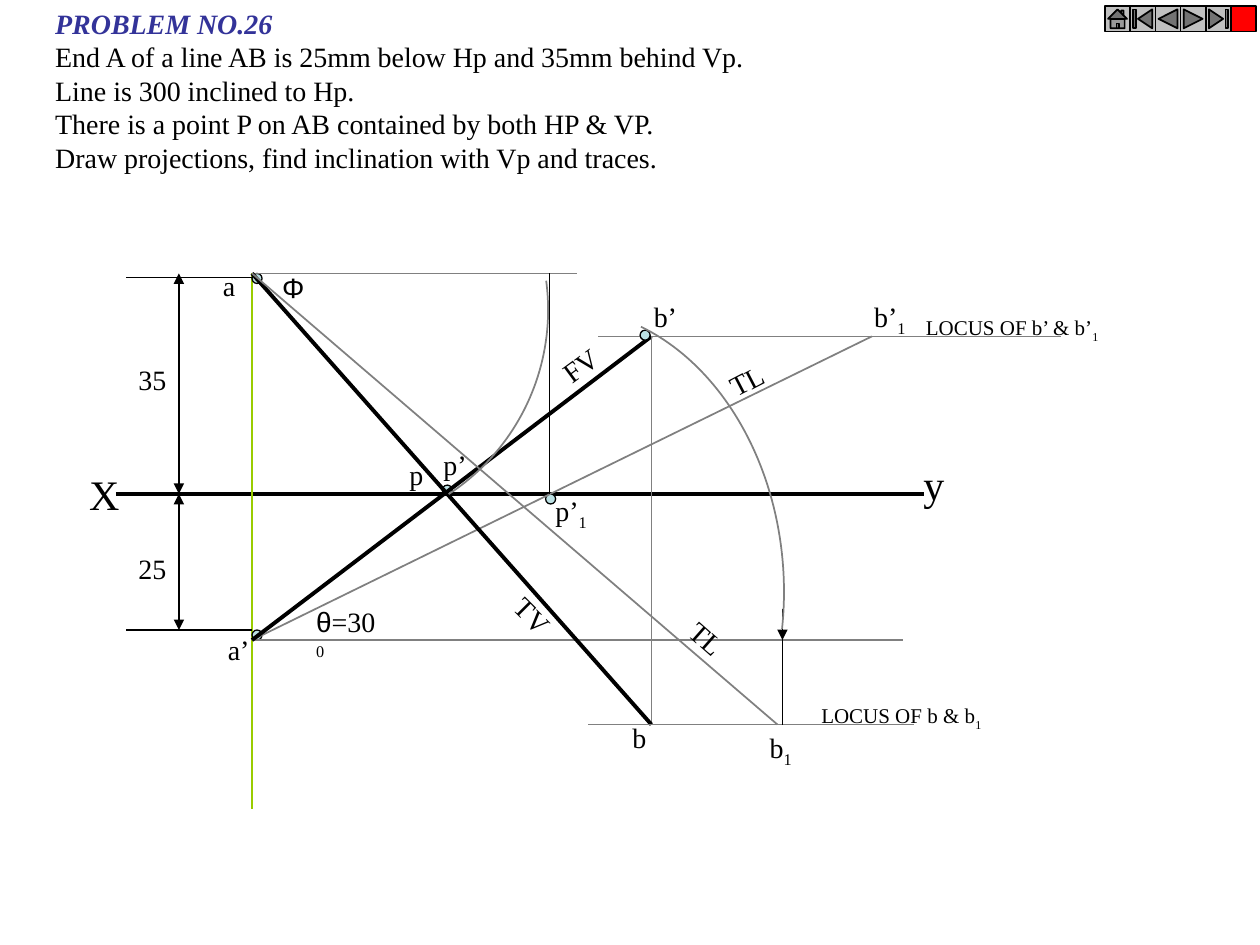
import pptx
import pptx.util
import pptx.dml.color
import pptx.enum.shapes
import pptx.enum.text
import pptx.oxml.ns
from lxml import etree

Inches = pptx.util.Inches
SHAPE = pptx.enum.shapes.MSO_SHAPE

THEME = {
    "black": "000000", "grey": "808080", "green": "99CC00", "dot": "BBE0E3",
    "heading": "333399", "button": "C0C0C0", "stop": "FF0000",
    "serif": "Times New Roman", "sans": "Arial",
    "axis": 24, "body": 16, "small": 12,
    "thin": 0.75, "medium": 1, "thick": 2.25,
}

PROBLEM = [
    "PROBLEM NO.26",
    "End A of a line AB is 25mm below Hp and 35mm behind Vp.",
    "Line is 300 inclined to Hp.",
    "There is a point P on AB contained by both HP & VP.",
    "Draw projections, find inclination with Vp and traces.",
]

# Key points of the projection
A_TOP, A_FRONT = (2, 2.17), (2, 5.08)
B_TOP, B_FRONT = (5.17, 5.75), (5.17, 2.67)
XY, DIMENSION_X, ARC_X = 3.92, 1.42, 6.21

# start, end, colour, width, arrowheads
AXES = [
    ((0.92, XY), (7.33, XY), "black", "thick", ()),
    (A_TOP, (2, 6.42), "green", "thin", ()),
]
LINES = [
    (A_FRONT, (7.17, 5.08), "grey", "medium", ()),
    (A_FRONT, (6.92, 2.67), "grey", "medium", ()),
    (A_TOP, (4.58, 2.17), "grey", "medium", ()),
    ((4.36, XY), (4.36, 2.17), "black", "thin", ()),
    ((8.42, 2.67), (4.75, 2.67), "grey", "medium", ()),
    (A_FRONT, B_FRONT, "black", "thick", ()),
    (B_FRONT, B_TOP, "grey", "medium", ()),
    (A_TOP, B_TOP, "black", "thick", ()),
    ((4.67, 5.75), (7.25, 5.75), "grey", "medium", ()),
    ((ARC_X, 5), (ARC_X, 5.75), "black", "thin", ()),
    ((ARC_X, 4.83), (ARC_X, 5.08), "black", "thin", ("tailEnd",)),
    (A_TOP, (6.17, 5.75), "grey", "medium", ()),
    ((DIMENSION_X, 2.17), (DIMENSION_X, XY), "black", "thin", ("headEnd", "tailEnd")),
    ((DIMENSION_X, XY), (DIMENSION_X, 5), "black", "thin", ("headEnd", "tailEnd")),
    ((1, 5), (2, 5), "black", "thin", ()),
    ((2, 2.2), (1, 2.2), "black", "thin", ()),
]

DOT_SIZE = 0.08
DOTS = [(2, 5), (2, 2.17), (4.33, 3.92), (3.51, 3.85)]
B_DOT = (5.08, 2.62)

# left, top, width, height, rotation, start angle, end angle
ARCS = [
    (0.85, 0.71, 3.5, 3.5, 82.4, 270, 334.3),
    (2.39, 2.95, 4.33, 3.33, 265.9, 18.85, 106.9),
]

# left, top, width, height, text, subscript, size
LABELS = [
    (0.61, 3.67, 0.44, 0.5, "X", "", "axis"),
    (7.23, 3.59, 0.36, 0.5, "y", "", "axis"),
    (1.67, 2.08, 0.3, 0.37, "a", "", "body"),
    (1.71, 4.97, 0.4, 0.37, "a’", "", "body"),
    (6.84, 2.33, 0.47, 0.41, "b’", "1", "body"),
    (5.09, 2.33, 0.41, 0.37, "b’", "", "body"),
    (4.92, 5.67, 0.31, 0.37, "b", "", "body"),
    (6.01, 5.75, 0.41, 0.41, "b", "1", "body"),
    (4.31, 3.87, 0.47, 0.41, "p’", "1", "body"),
    (3.42, 3.5, 0.41, 0.37, "p’", "", "body"),
    (3.15, 3.58, 0.31, 0.37, "p", "", "body"),
    (1, 2.83, 0.42, 0.37, "35", "", "body"),
    (1, 4.33, 0.42, 0.37, "25", "", "body"),
    (7.25, 2.45, 1.58, 0.33, "LOCUS OF b’ & b’", "1", "small"),
    (6.42, 5.53, 1.47, 0.33, "LOCUS OF b & b", "1", "small"),
]

# left, top, rotation, text
VIEW_LABELS = [
    (5.67, 2.75, 332.6, "TL"),
    (5.33, 5, 41.4, "TL"),
    (4.33, 2.61, 323.6, "FV"),
    (3.93, 4.82, 45.1, "TV"),
]

BUTTON_LEFT, BUTTON_TOP, BUTTON_SIZE = 8.77, 0.05, 0.2
BUTTONS = [
    (SHAPE.ACTION_BUTTON_HOME, "button"),
    (SHAPE.ACTION_BUTTON_BEGINNING, "button"),
    (SHAPE.ACTION_BUTTON_BACK_OR_PREVIOUS, "button"),
    (SHAPE.ACTION_BUTTON_FORWARD_OR_NEXT, "button"),
    (SHAPE.ACTION_BUTTON_END, "button"),
    (SHAPE.ACTION_BUTTON_CUSTOM, "stop"),
]


def color(name):
    return pptx.dml.color.RGBColor.from_string(THEME[name])


def style_line(line, name, width):
    line.color.rgb = color(name)
    line.width = pptx.util.Pt(THEME[width])


def add_line(page, start, end, name, width, arrowheads):
    line = page.shapes.add_connector(
        pptx.enum.shapes.MSO_CONNECTOR.STRAIGHT,
        *(Inches(value) for value in start + end))
    style_line(line.line, name, width)
    properties = line._element.spPr
    outline = properties.find(pptx.oxml.ns.qn("a:ln"))
    for end_name in arrowheads:
        etree.SubElement(outline, pptx.oxml.ns.qn("a:" + end_name), type="triangle")
    etree.SubElement(properties, pptx.oxml.ns.qn("a:effectLst"))


def add_figure(page, kind, bounds, fill, width):
    """Add a preset shape; without a fill it gets a grey outline only."""
    figure = page.shapes.add_shape(kind, *(Inches(value) for value in bounds))
    figure.shadow.inherit = False
    if fill:
        figure.fill.solid()
        figure.fill.fore_color.rgb = color(fill)
    else:
        figure.fill.background()
    style_line(figure.line, "black" if fill else "grey", width)
    return figure


def add_dot(page, position):
    add_figure(page, SHAPE.OVAL, position + (DOT_SIZE, DOT_SIZE), "dot", "thin")


def add_text_box(page, bounds, wrap=False):
    box = page.shapes.add_textbox(*(Inches(value) for value in bounds))
    box.text_frame.word_wrap = wrap
    box.text_frame.auto_size = pptx.enum.text.MSO_AUTO_SIZE.SHAPE_TO_FIT_TEXT
    return box


def add_span(para, text, size="body", face="serif", name="black", baseline=0):
    """Append a run; baseline is its shift in percent."""
    span = para.add_run()
    span.text = text
    span.font.size = pptx.util.Pt(THEME[size])
    span.font.name = THEME[face]
    span.font.color.rgb = color(name)
    if baseline:
        span._r.get_or_add_rPr().set("baseline", str(baseline * 1000))
    return span


def main():
    deck = pptx.Presentation()
    deck.slide_width, deck.slide_height = Inches(10), Inches(7.5)
    page = deck.slides.add_slide(deck.slide_layouts[6])

    for line in AXES:
        add_line(page, *line)
    for position in DOTS:
        add_dot(page, position)
    for line in LINES:
        add_line(page, *line)
    add_dot(page, B_DOT)

    for *bounds, rotation, start, end in ARCS:
        arc = add_figure(page, SHAPE.ARC, bounds, None, "medium")
        arc.rotation = rotation
        for index, angle in enumerate((start, end)):
            arc.adjustments[index] = angle * 0.6  # 60000 units per degree, scaled by 100000

    for *bounds, text, subscript, size in LABELS:
        para = add_text_box(page, bounds).text_frame.paragraphs[0]
        add_span(para, text, size)
        if subscript:
            add_span(para, subscript, size, baseline=-25)

    for left, top, rotation, text in VIEW_LABELS:
        box = add_text_box(page, (left, top, 0.83, 0.37), wrap=True)
        box.rotation = rotation
        add_span(box.text_frame.paragraphs[0], text)

    phi = add_text_box(page, (2.14, 2.1, 0.37, 0.37)).text_frame.paragraphs[0]
    add_span(phi, "Φ", face="sans")
    theta = add_text_box(page, (2.41, 4.75, 0.72, 0.37), wrap=True).text_frame.paragraphs[0]
    add_span(theta, "θ", face="sans")
    add_span(theta, "=30")
    add_span(theta, "0", baseline=30)

    frame = add_text_box(page, (0.34, 0, 5.7, 1.44)).text_frame
    heading = add_span(frame.paragraphs[0], PROBLEM[0], name="heading")
    heading.font.bold = heading.font.italic = True
    for sentence in PROBLEM[1:]:
        add_span(frame.add_paragraph(), sentence)

    for index, (kind, fill) in enumerate(BUTTONS):
        left = BUTTON_LEFT + index * BUTTON_SIZE
        add_figure(page, kind, (left, BUTTON_TOP, BUTTON_SIZE, BUTTON_SIZE), fill, "medium")

    deck.save("out.pptx")


if __name__ == "__main__":
    main()
